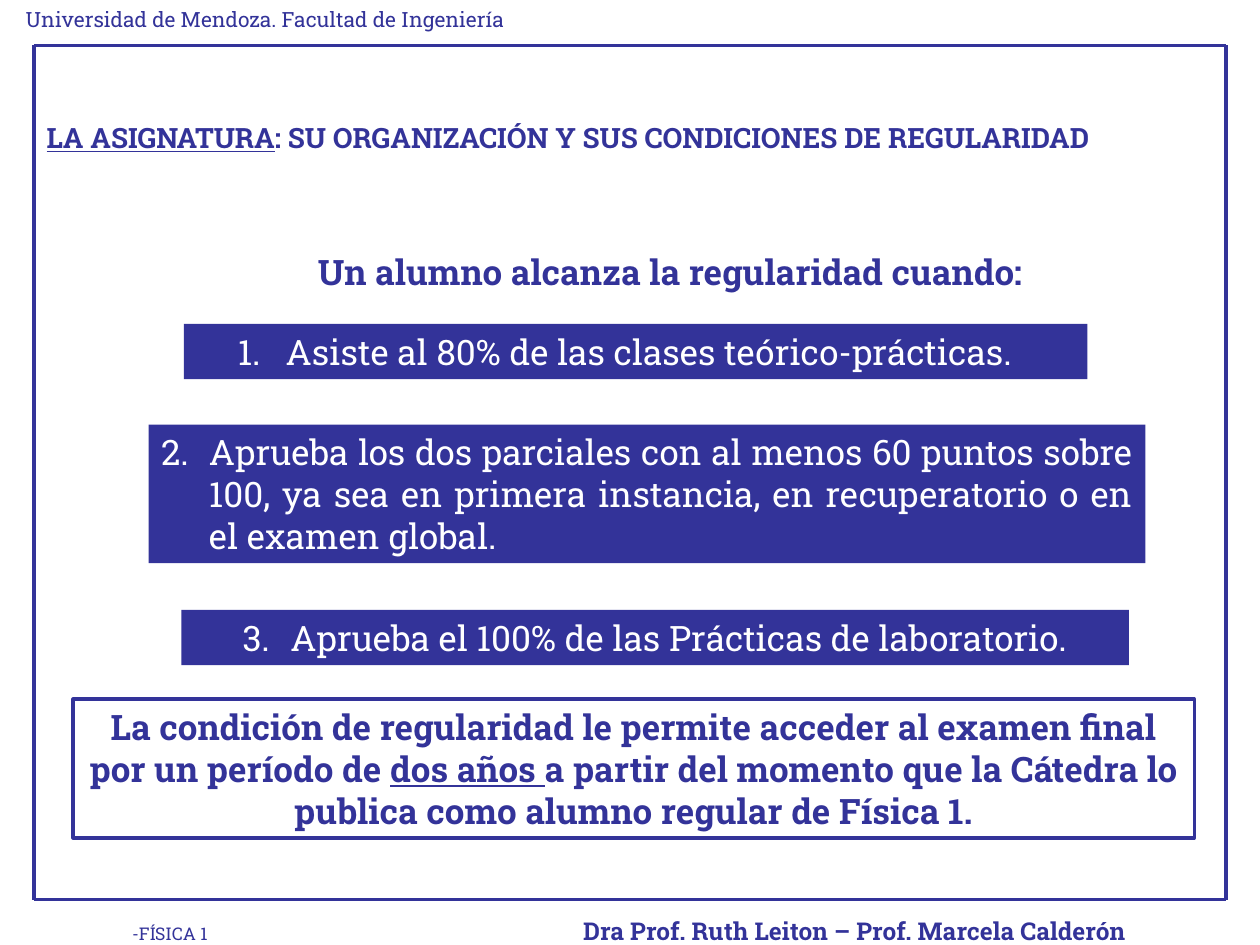
"""Build the slide on the regularity conditions of the Física 1 course."""
from dataclasses import dataclass
from itertools import pairwise

from lxml import etree
from pptx import Presentation
from pptx import util as u
from pptx.dml.color import RGBColor
from pptx.enum import shapes, text
from pptx.oxml import ns

COLORS = {"ink": "333399", "paper": "FFFFFF"}
FONT = "Roboto Slab"
CELL = 0.1
COLUMNS, ROWS = 100, 75
LINE_WIDTH = u.Pt(2)
HANGING = 3.8


@dataclass(frozen=True)
class Box:
    """Place on a grid of 100 columns by 75 rows."""

    left: float
    top: float
    width: float
    height: float


@dataclass(frozen=True)
class Run:
    """Stretch of text with one format."""

    text: str
    size: float = 20
    bold: bool = False
    underline: bool = False


@dataclass(frozen=True)
class Condition:
    """Numbered condition in a filled bar."""

    text: str
    box: Box
    align: text.PP_ALIGN = text.PP_ALIGN.CENTER
    right_inset: float = 1


CONDITIONS = [
    Condition("Asiste al 80% de las clases teórico-prácticas.", Box(14.6, 25.7, 71.7, 4.4), right_inset=2.6),
    Condition(
        "Aprueba los dos parciales con al menos 60 puntos sobre 100, ya sea en primera "
        "instancia, en recuperatorio o en el examen global.",
        Box(11.8, 33.7, 79.1, 11),
        align=text.PP_ALIGN.JUSTIFY,
    ),
    Condition("Aprueba el 100% de las Prácticas de laboratorio.", Box(14.4, 48.4, 75.2, 4.4)),
]


def grid(cells: float) -> u.Length:
    """Turn grid cells into a length."""
    return u.Inches(cells * CELL)


def place(box: Box) -> tuple:
    """Give the four lengths of a box."""
    return tuple(grid(side) for side in (box.left, box.top, box.width, box.height))


def color(name: str) -> RGBColor:
    """Look up a named colour."""
    return RGBColor.from_string(COLORS[name])


def add_number(paragraph, number: int, name: str) -> None:
    """Give a paragraph a hanging automatic number."""
    properties = paragraph._p.get_or_add_pPr()
    properties.set("marL", str(grid(HANGING)))
    properties.set("indent", str(-grid(HANGING)))
    bullet_color = etree.SubElement(properties, ns.qn("a:buClr"))
    etree.SubElement(bullet_color, ns.qn("a:srgbClr"), val=COLORS[name])
    etree.SubElement(properties, ns.qn("a:buAutoNum"), type="arabicPeriod", startAt=str(number))


def add_tabs(paragraph, stops: tuple) -> None:
    """Set left tab stops on a paragraph."""
    tabs = etree.SubElement(paragraph._p.get_or_add_pPr(), ns.qn("a:tabLst"))
    for stop in stops:
        etree.SubElement(tabs, ns.qn("a:tab"), pos=str(grid(stop)), algn="l")


def write(shape, runs: list, *, ink: str = "ink", align=text.PP_ALIGN.CENTER,
          number: int = 0, tabs: tuple = (), right_inset: float = 1) -> None:
    """Write formatted runs into a shape."""
    frame = shape.text_frame
    frame.word_wrap = True
    frame.auto_size = text.MSO_AUTO_SIZE.SHAPE_TO_FIT_TEXT
    frame.vertical_anchor = text.MSO_ANCHOR.TOP
    frame.margin_left, frame.margin_right = grid(1), grid(right_inset)
    frame.margin_top = frame.margin_bottom = grid(0.5)
    paragraph = frame.paragraphs[0]
    paragraph.alignment = align
    if number:
        add_number(paragraph, number, ink)
    if tabs:
        add_tabs(paragraph, tabs)
    paragraph.font.size = u.Pt(runs[0].size)
    for part in runs:
        run = paragraph.add_run()
        run.text = part.text
        run.font.name = FONT
        run.font.size = u.Pt(part.size)
        run.font.bold = part.bold
        run.font.underline = part.underline
        run.font.color.rgb = color(ink)


def add_label(slide, box: Box, runs: list, **style) -> None:
    """Add a plain text box."""
    write(slide.shapes.add_textbox(*place(box)), runs, **style)


def add_panel(slide, box: Box, runs: list, *, filled: bool, **style) -> None:
    """Add a filled or an outlined rectangle with text."""
    shape = slide.shapes.add_shape(shapes.MSO_SHAPE.RECTANGLE, *place(box))
    shape.shadow.inherit = False
    if filled:
        shape.fill.solid()
        shape.fill.fore_color.rgb = color("ink")
        shape.line.fill.background()
    else:
        shape.fill.background()
        shape.line.color.rgb = color("ink")
        shape.line.width = LINE_WIDTH
    write(shape, runs, ink="paper" if filled else "ink", **style)


def add_frame(slide, box: Box) -> None:
    """Draw the slide frame as four grouped lines."""
    right, bottom = box.left + box.width, box.top + box.height
    corners = [(box.left, box.top), (right, box.top), (right, bottom), (box.left, bottom)]
    group = slide.shapes.add_group_shape()
    for start, end in pairwise(corners + corners[:1]):
        line = group.shapes.add_connector(
            shapes.MSO_CONNECTOR.STRAIGHT, *(grid(value) for value in start + end))
        line.line.color.rgb = color("ink")
        line.line.width = LINE_WIDTH
        etree.SubElement(line._element.spPr, ns.qn("a:effectLst"))


def main() -> None:
    """Build and save the slide."""
    presentation = Presentation()
    presentation.slide_width, presentation.slide_height = grid(COLUMNS), grid(ROWS)
    slide = presentation.slides.add_slide(presentation.slide_layouts.get_by_name("Title Only"))

    title = slide.shapes.title
    title.left, title.top, title.width, title.height = place(Box(2.7, 9.1, 93.7, 4))
    write(title, [
        Run("LA ASIGNATURA", 16, bold=True, underline=True),
        Run(": SU ORGANIZACIÓN Y SUS CONDICIONES DE REGULARIDAD", 16, bold=True),
    ], align=text.PP_ALIGN.LEFT)

    add_label(slide, Box(0, 0, 42.1, 3), [Run("Universidad de Mendoza. Facultad de Ingeniería", 12)])
    add_label(slide, Box(20.1, 19.4, 66.2, 4.4), [Run("Un alumno alcanza la regularidad cuando:", bold=True)])
    for number, condition in enumerate(CONDITIONS, start=1):
        add_panel(slide, condition.box, [Run(condition.text)], filled=True, number=number,
                  align=condition.align, right_inset=condition.right_inset)
    add_panel(slide, Box(5.8, 55.5, 89, 11), [
        Run("La condición de regularidad le permite acceder al examen final por un período de ", bold=True),
        Run("dos años ", bold=True, underline=True),
        Run("a partir del momento que la Cátedra lo publica como alumno regular de Física 1.", bold=True),
    ], filled=False)
    add_frame(slide, Box(2.7, 3.6, 94.6, 67.8))
    add_label(slide, Box(0, 72.2, COLUMNS, 3.4), [
        Run("\t-FÍSICA 1\t", 10),
        Run("Dra Prof. Ruth Leiton – Prof. Marcela Calderón", 14, bold=True),
    ], align=text.PP_ALIGN.LEFT, tabs=(9.5, 45.3))
    presentation.save("out.pptx")


if __name__ == "__main__":
    main()
